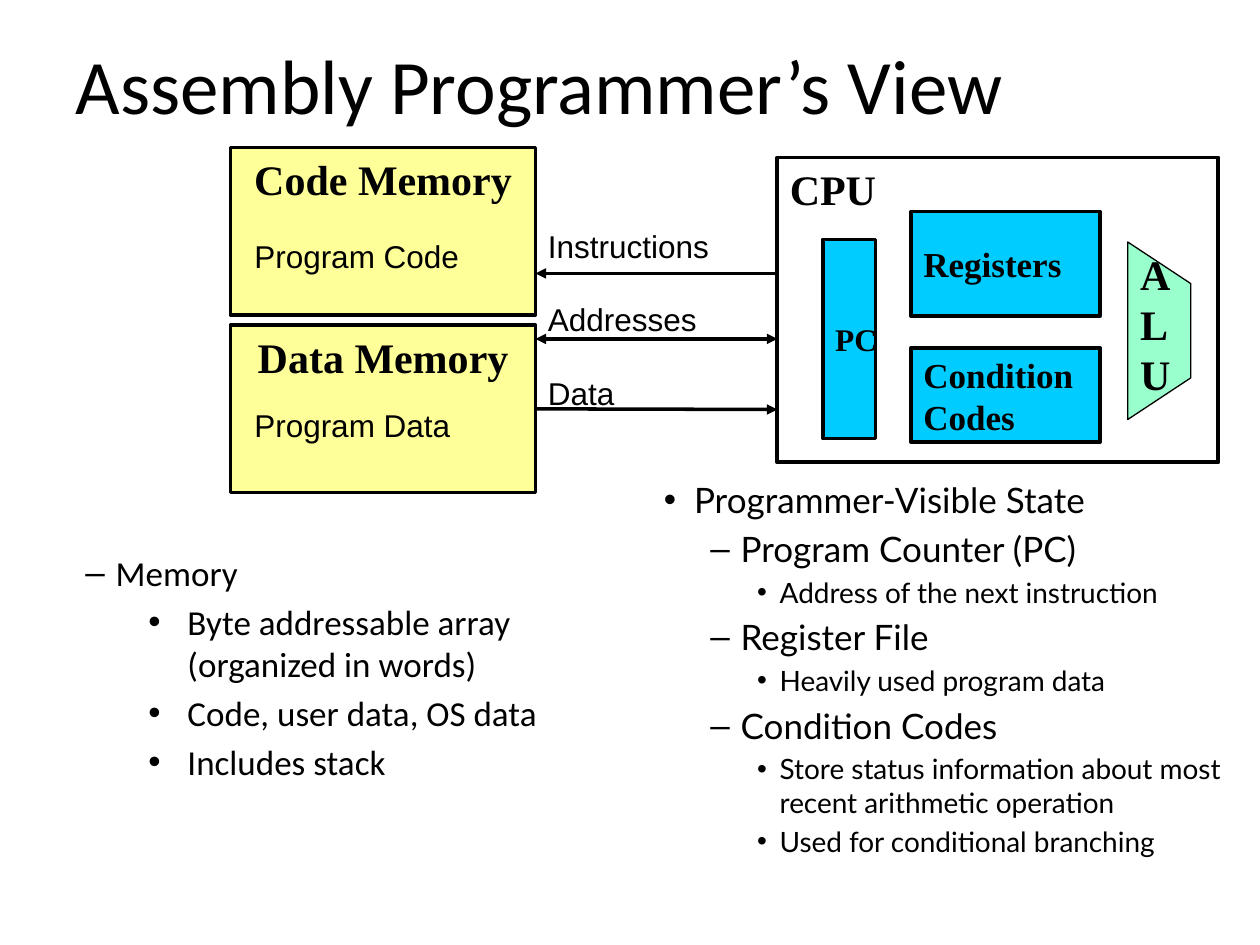
from pptx import Presentation
from pptx.dml.color import RGBColor
from pptx.enum.shapes import MSO_CONNECTOR, MSO_SHAPE
from pptx.enum.text import MSO_ANCHOR, PP_ALIGN
from pptx.oxml.ns import qn
from pptx.util import Inches, Pt
from lxml.etree import SubElement

HUES = {"ink": "000000", "memory": "FFFF99", "unit": "00CCFF", "alu": "99FFCC"}
FONTS = {
    "title": dict(name="Calibri", size=Pt(44)),
    "label": dict(name="Arial", size=Pt(18)),
    "head": dict(name="Times New Roman", size=Pt(24), bold=True),
    "unit": dict(name="Times New Roman", size=Pt(20), bold=True),
    "small": dict(name="Times New Roman", size=Pt(18), bold=True),
}


def hue(key):
    return RGBColor.from_string(HUES[key])


def apply(item, values):
    for key, value in values.items():
        setattr(item, key, value)


class Page:
    """Holds the slide and the look of its elements."""

    def __init__(self, deck):
        self.slide = deck.slides.add_slide(deck.slide_layouts[5])
        self.shapes = self.slide.shapes

    def style(self, para, values, align=PP_ALIGN.LEFT):
        para.alignment = align
        apply(para.font, values)
        para.font.color.rgb = hue("ink")

    def letter(self, shape, text, font, align=PP_ALIGN.LEFT, **frame):
        """Put styled text into a shape."""
        body = shape.text_frame
        apply(body, dict(word_wrap=True, vertical_anchor=MSO_ANCHOR.TOP) | frame)
        body.text = text
        for para in body.paragraphs:
            self.style(para, FONTS[font], align)

    def title(self, text, *at):
        shape = self.shapes.title
        apply(shape, dict(zip(("left", "top", "width", "height"), map(Inches, at))))
        self.letter(shape, text, "title")

    def paint(self, shape, fill, width):
        shape.shadow.inherit = False
        if fill:
            shape.fill.solid()
            shape.fill.fore_color.rgb = hue(fill)
        else:
            shape.fill.background()
        shape.line.color.rgb = hue("ink")
        shape.line.width = Pt(width)

    def box(self, at, text, font, fill=None, width=2, **frame):
        shape = self.shapes.add_shape(MSO_SHAPE.RECTANGLE, *map(Inches, at))
        self.paint(shape, fill, width)
        self.letter(shape, text, font, **frame)
        return shape

    def outline(self, points, text, font, fill):
        start, *rest = [tuple(map(Inches, point)) for point in points]
        pen = self.shapes.build_freeform(*start)
        pen.add_line_segments(rest, close=True)
        shape = pen.convert_to_shape()
        self.paint(shape, fill, 0.75)
        self.letter(shape, text, font)

    def label(self, text, left, top, width):
        shape = self.shapes.add_textbox(*map(Inches, (left, top, width, 0.4)))
        self.letter(shape, text, "label")

    def arrow(self, left, right, y, ends, source=None):
        line = self.shapes.add_connector(
            MSO_CONNECTOR.STRAIGHT, *map(Inches, (left, y, right, y)))
        if source:
            line.begin_connect(source, 3)
        line.line.color.rgb = hue("ink")
        line.line.width = Pt(2)
        stroke = line._element.spPr.find(qn("a:ln"))
        for end in ends:
            SubElement(stroke, qn(f"a:{end}End"), type="triangle")
        SubElement(line._element.spPr, qn("a:effectLst"))

    def bullets(self, at, font, levels, items):
        """Levels give mark, text indent, hanging indent and size."""
        body = self.shapes.add_textbox(*map(Inches, at)).text_frame
        body.word_wrap = True
        for index, (level, text) in enumerate(items):
            mark, indent, hang, size = levels[level]
            para = body.add_paragraph() if index else body.paragraphs[0]
            para.text = text
            para.level = level
            if index:
                para.space_before = Pt(size * 0.2)
            props = para._p.get_or_add_pPr()
            props.set("marL", str(Inches(indent)))
            props.set("indent", str(-Inches(hang)))
            SubElement(props, qn("a:buFont"), typeface="Arial")
            SubElement(props, qn("a:buChar"), char=mark)
            self.style(para, dict(name=font, size=Pt(size)))


def main():
    deck = Presentation()
    deck.slide_width, deck.slide_height = Inches(10), Inches(7.5)
    page = Page(deck)
    page.title("Assembly Programmer’s View", 0.5, 0.25, 9, 1.25)

    blocks = {}
    for name, top, note, drop in (("Code", 1.17, "Program Code", 1.83),
                                  ("Data", 2.58, "Program Data", 3.17)):
        blocks[name] = page.box((1.83, top, 2.42, 1.33), f"{name} Memory", "head",
                                "memory", align=PP_ALIGN.CENTER, word_wrap=False)
        page.label(note, 1.92, drop, 2.5)

    for text, top, y, ends, source in (
            ("Instructions", 1.75, 2.17, ["head"], None),
            ("Addresses", 2.33, 2.69, ["head", "tail"], None),
            ("Data", 2.92, 3.25, ["tail"], blocks["Data"])):
        page.arrow(4.25, 6.17, y, ends, source)
        page.label(text, 4.25, top, 1.92)

    page.box((6.17, 1.25, 3.5, 2.42), "CPU", "head", width=2.25)
    middle = dict(fill="unit", vertical_anchor=MSO_ANCHOR.MIDDLE)
    page.box((6.53, 1.9, 0.42, 1.58), "PC", "small", word_wrap=False, **middle)
    page.box((7.23, 1.68, 1.5, 0.83), "Registers", "unit", **middle)
    page.box((7.23, 2.76, 1.5, 0.75), "Condition\nCodes", "unit", **middle)
    page.outline([(8.95, 1.92), (9.45, 2.25), (9.45, 3), (8.95, 3.33)],
                 "ALU", "head", "alu")

    page.bullets(
        (5.17, 3.75, 4.67, 3.25), "Lato",
        [("•", 0.24, 0.24, 20), ("–", 0.61, 0.24, 20), ("•", 0.92, 0.18, 16)],
        [(0, "Programmer-Visible State"),
         (1, "Program Counter (PC)"),
         (2, "Address of the next instruction"),
         (1, "Register File"),
         (2, "Heavily used program data"),
         (1, "Condition Codes"),
         (2, "Store status information about most recent arithmetic operation"),
         (2, "Used for conditional branching")])
    page.bullets(
        (0.58, 4.33, 4.33, 2.5), "Calibri",
        [("–", 0.24, 0.24, 20), ("•", 0.81, 0.31, 20)],
        [(0, "Memory"),
         (1, "Byte addressable array (organized in words)"),
         (1, "Code, user data, OS data"),
         (1, "Includes stack")])
    deck.save("out.pptx")


if __name__ == "__main__":
    main()
